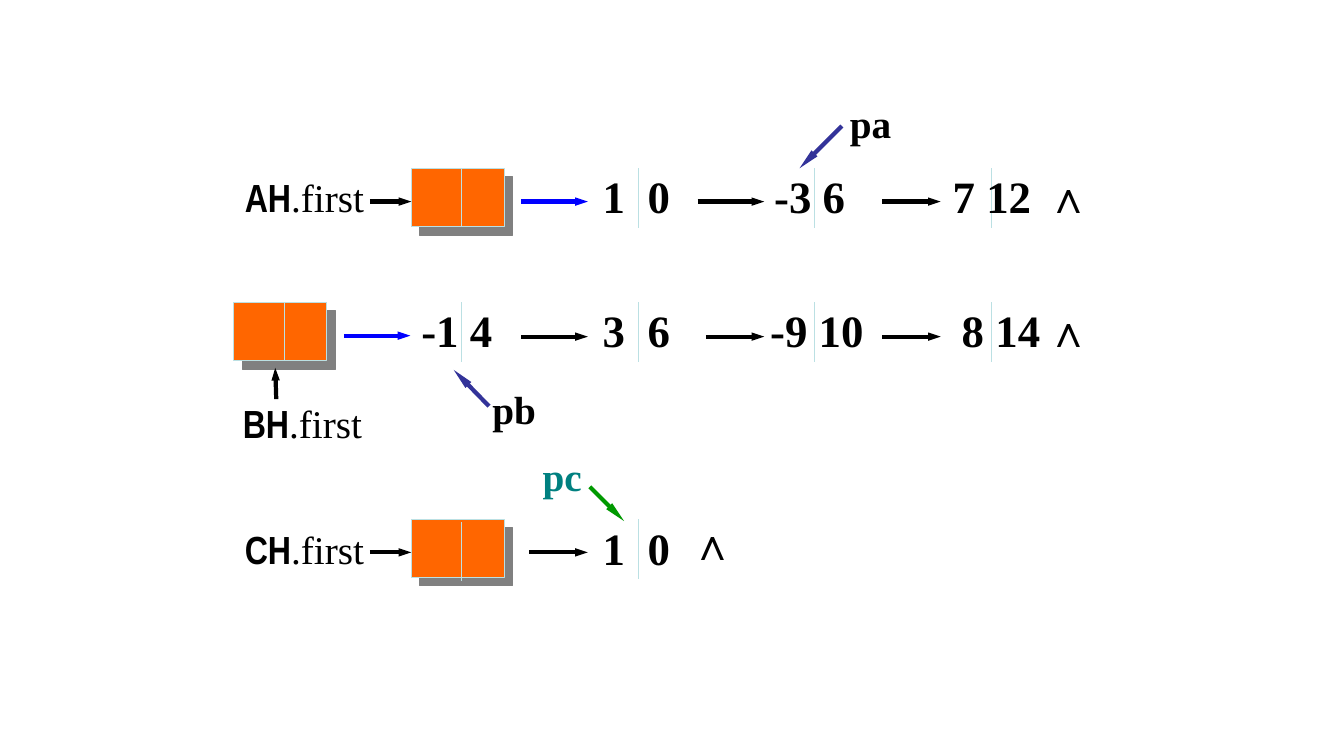
from lxml import etree
from pptx import Presentation
from pptx.dml.color import RGBColor
from pptx.enum.shapes import MSO_CONNECTOR, MSO_SHAPE
from pptx.enum.text import MSO_ANCHOR, MSO_AUTO_SIZE, PP_ALIGN
from pptx.oxml import parse_xml
from pptx.oxml.ns import nsdecls, qn
from pptx.util import Inches, Pt

presentation = Presentation()
presentation.slide_width = Inches(13.33)
presentation.slide_height = Inches(7.5)
slide = presentation.slides.add_slide(presentation.slide_layouts[6])

BLACK, BLUE, INDIGO, GREEN = "000000", "0000FF", "333399", "009900"
TEAL, ORANGE, PALE = "008080", "FF6600", "BBE0E3"
SERIF, NARROW = "Times New Roman", "Arial Narrow"
SHADOW = (
    f'<a:effectLst {nsdecls("a")}><a:outerShdw dist="107763" dir="2700000" '
    'algn="ctr" rotWithShape="0"><a:srgbClr val="808080"/></a:outerShdw></a:effectLst>'
)


def add_line(start, end, color, width, head_length=None):
    line = slide.shapes.add_connector(
        MSO_CONNECTOR.STRAIGHT, *[Inches(value) for value in (*start, *end)])
    line.line.color.rgb = RGBColor.from_string(color)
    line.line.width = Pt(width)
    properties = line._element.spPr
    if head_length:
        etree.SubElement(properties.find(qn("a:ln")), qn("a:tailEnd"),
                         type="triangle", w="sm", len=head_length)
    etree.SubElement(properties, qn("a:effectLst"))


def add_text(left, top, width, height, runs, size, color=BLACK, centered=False):
    box = slide.shapes.add_textbox(
        Inches(left), Inches(top), Inches(width), Inches(height))
    frame = box.text_frame
    frame.word_wrap = False
    frame.auto_size = MSO_AUTO_SIZE.SHAPE_TO_FIT_TEXT
    paragraph = frame.paragraphs[0]
    if centered:
        frame.vertical_anchor = MSO_ANCHOR.MIDDLE
        paragraph.alignment = PP_ALIGN.CENTER
    for text, font_name, bold, spacing in runs:
        run = paragraph.add_run()
        run.text = text
        run.font.name = font_name
        run.font.size = Pt(size)
        run.font.bold = bold
        run.font.color.rgb = RGBColor.from_string(color)
        if spacing:
            run.font._element.set("spc", str(spacing))


# Head nodes with their two fields
for left, top, divider_top in [(4.08, 1.67, 1.67), (2.32, 3, 3), (4.08, 5.15, 5.18)]:
    head_node = slide.shapes.add_shape(
        MSO_SHAPE.RECTANGLE, Inches(left), Inches(top), Inches(0.92), Inches(0.58))
    head_node.fill.solid()
    head_node.fill.fore_color.rgb = RGBColor.from_string(ORANGE)
    head_node.line.color.rgb = RGBColor.from_string(PALE)
    head_node.line.width = Pt(0.75)
    head_node._element.spPr.append(parse_xml(SHADOW))
    add_line((left + 0.5, divider_top), (left + 0.5, divider_top + 0.58), PALE, 0.75)

# Dividers between coefficient and exponent
for top, columns in [(1.67, (1, 2, 3)), (3, (0, 1, 2, 3)), (5.15, (1,))]:
    for column in columns:
        x = 4.58 + 1.75 * column
        add_line((x, top), (x, top + 0.59), PALE, 0.75)

# List names
for name, left, top in [("AH", 2.33, 1.67), ("BH", 2.31, 3.91), ("CH", 2.33, 5.16)]:
    add_text(left, top, 1.39, 0.57,
             [(name, NARROW, True, 0), (".first", SERIF, False, 0)], 28)

# Terms: coefficient, exponent, extra gap between them
for left, top, width, coefficient, exponent, gap in [
    (5.88, 1.62, 0.87, "1", "0", 800),
    (7.58, 1.62, 0.92, "-3", "6", 0),
    (9.35, 1.62, 0.98, "7", "12", 0),
    (4.08, 2.95, 0.92, "-1", "4", 0),
    (5.88, 2.95, 0.87, "3", "6", 800),
    (7.54, 2.95, 1.13, "-9", "10", 0),
    (9.44, 2.95, 0.98, "8", "14", 0),
    (5.88, 5.12, 0.87, "1", "0", 800),
]:
    if gap:
        runs = [(coefficient, SERIF, True, 0), (" ", SERIF, True, gap),
                (exponent, SERIF, True, 0)]
    else:
        runs = [(f"{coefficient} {exponent}", SERIF, True, 0)]
    add_text(left, top, width, 0.63, runs, 32)

# End-of-list marks
for left, top in [(10.28, 1.62), (10.28, 2.95), (6.75, 5.07)]:
    add_text(left, top, 0.47, 0.63, [("∧", SERIF, True, 0)], 32)

# Links between nodes
for y, start, end, color in [
    (2, 3.67, 4.08, BLACK), (2, 5.17, 5.83, BLUE),
    (2, 6.92, 7.58, BLACK), (2, 8.75, 9.33, BLACK),
    (3.33, 3.41, 4.07, BLUE), (3.34, 5.17, 5.83, BLACK),
    (3.34, 7, 7.58, BLACK), (3.34, 8.75, 9.33, BLACK),
    (5.48, 3.67, 4.08, BLACK), (5.48, 5.25, 5.83, BLACK),
]:
    add_line((start, y), (end, y), color, 3, "med")
add_line((2.74, 3.96), (2.73, 3.65), BLACK, 3, "med")

# Moving pointers
for name, left, top, width, text_color, start, end, arrow_color in [
    ("pa", 8.33, 0.93, 0.61, BLACK, (8.35, 1.25), (7.93, 1.67), INDIGO),
    ("pb", 4.78, 3.77, 0.64, BLACK, (4.85, 4.03), (4.5, 3.67), INDIGO),
    ("pc", 5.28, 4.44, 0.59, TEAL, (5.85, 4.83), (6.19, 5.17), GREEN),
]:
    add_line(start, end, arrow_color, 3, "lg")
    add_text(left, top, width, 0.57, [(name, SERIF, True, 0)], 28, text_color, True)

presentation.save("out.pptx")
